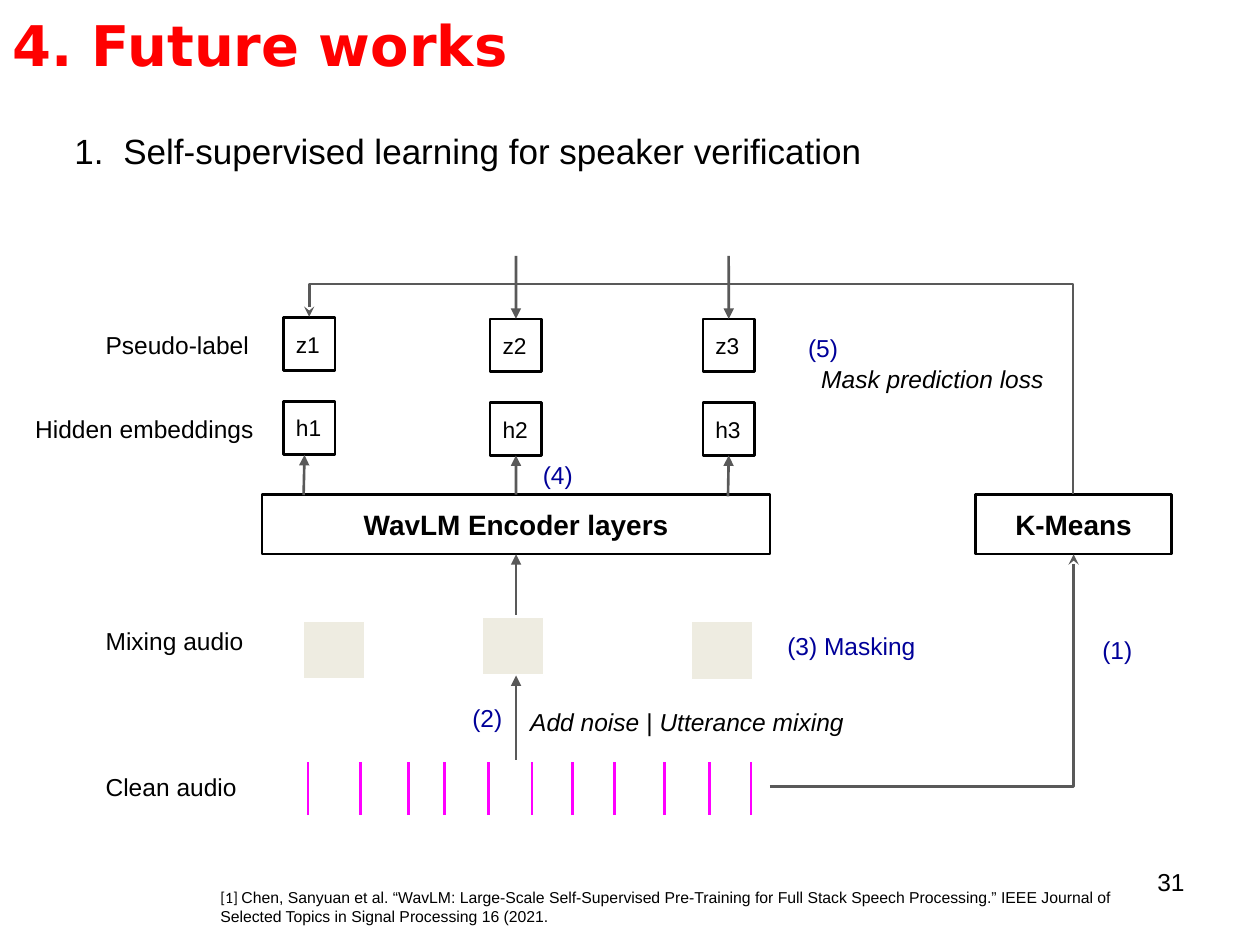
from dataclasses import dataclass

import pptx
import pptx.dml.color
import pptx.enum.shapes
import pptx.enum.text
import pptx.oxml
import pptx.oxml.ns
import pptx.util
from lxml import etree

Pt = pptx.util.Pt
ALIGN = pptx.enum.text.PP_ALIGN
KIND = pptx.enum.shapes.MSO_CONNECTOR
BLACK, GRAY, BLUE, RED = "000000", "595959", "000099", "FF0000"
MAGENTA, BEIGE, WHITE = "FF00FF", "EEECE1", "FFFFFF"
TOP, BOTTOM = 0, 2


@dataclass
class Label:
    text: str
    x: float
    y: float
    w: float
    h: float = 31.7
    size: float = 14
    color: str = BLACK
    bold: bool = False
    italic: bool = False
    font: str = "Arial"
    align: ALIGN = ALIGN.LEFT
    inset: float = 7.2


@dataclass
class Arrow:
    x1: float
    y1: float
    x2: float
    y2: float
    begin: str = ""
    begin_site: int = TOP
    end: str = ""
    end_site: int = BOTTOM


def rgb(value: str) -> pptx.dml.color.RGBColor:
    return pptx.dml.color.RGBColor.from_string(value)


def sub(parent, tag: str, **attrs: str):
    return etree.SubElement(parent, pptx.oxml.ns.qn(tag), **attrs)


def style_run(r, label: Label, font: str = "", italic: bool = False) -> None:
    r.font.name = font or label.font
    r.font.size = Pt(label.size)
    r.font.bold = label.bold
    r.font.italic = italic
    r.font.color.rgb = rgb(label.color)


def write(sp, label: Label):
    tf = sp.text_frame
    tf.word_wrap = True
    tf.vertical_anchor = pptx.enum.text.MSO_ANCHOR.TOP
    tf.margin_left = tf.margin_right = Pt(7.2)
    tf.margin_top = tf.margin_bottom = Pt(label.inset)
    tf.text = label.text
    p = tf.paragraphs[0]
    p.alignment = label.align
    for r in p.runs:
        style_run(r, label, italic=label.italic)
    return p


def add_label(s, label: Label):
    sp = s.shapes.add_textbox(Pt(label.x), Pt(label.y), Pt(label.w), Pt(label.h))
    return sp.text_frame, write(sp, label)


def add_rect(s, x: float, y: float, w: float, h: float, line: str, width: float, fill: str = ""):
    sp = s.shapes.add_shape(pptx.enum.shapes.MSO_SHAPE.RECTANGLE, Pt(x), Pt(y), Pt(w), Pt(h))
    sp.shadow.inherit = False
    if fill:
        sp.fill.solid()
        sp.fill.fore_color.rgb = rgb(fill)
    else:
        sp.fill.background()
    sp.line.color.rgb = rgb(line)
    sp.line.width = Pt(width)
    return sp


def add_box(s, label: Label):
    sp = add_rect(s, label.x, label.y, label.w, label.h, BLACK, 1.5)
    write(sp, label)
    return sp


def add_line(s, x1: float, y1: float, x2: float, y2: float, color: str = GRAY, kind=KIND.STRAIGHT):
    cx = s.shapes.add_connector(kind, Pt(x1), Pt(y1), Pt(x2), Pt(y2))
    cx.line.color.rgb = rgb(color)
    cx.line.width = Pt(1.5)
    sub(cx._element.spPr, "a:effectLst")
    return cx


def add_head(cx, end: str, style: str) -> None:
    sub(cx.line._get_or_add_ln(), end, type=style)


def add_arrow(s, arrow: Arrow, boxes: dict) -> None:
    cx = add_line(s, arrow.x1, arrow.y1, arrow.x2, arrow.y2)
    if arrow.begin:
        cx.begin_connect(boxes[arrow.begin], arrow.begin_site)
    if arrow.end:
        cx.end_connect(boxes[arrow.end], arrow.end_site)
    add_head(cx, "a:tailEnd", "triangle")


def add_elbows(s) -> None:
    audio = add_line(s, 440, 449.5, 613.5, 316.8, kind=KIND.ELBOW)
    audio._element.spPr.prstGeom.set("prst", "bentConnector2")
    add_head(audio, "a:tailEnd", "stealth")

    labels = add_line(s, 445.6, 13.5, 344.2, 450, kind=KIND.ELBOW)
    labels._element.spPr.xfrm.set("rot", "16200000")
    guides = labels._element.spPr.prstGeom.get_or_add_avLst()
    sub(guides, "a:gd", name="adj1", fmla="val -18500")
    add_head(labels, "a:headEnd", "stealth")


def add_heading(s) -> None:
    tf, p = add_label(s, Label("4. Future works", 0, 0, 720, 50.4, 32, RED, True,
                               font="DejaVu Sans", inset=3.6))
    tf.vertical_anchor = pptx.enum.text.MSO_ANCHOR.MIDDLE
    add_label(s, Label("31", 516.2, 491.8, 167.8, 37.4, align=ALIGN.RIGHT, inset=3.6))

    tf, p = add_label(s, Label("Self-supervised learning for speaker verification",
                               27.4, 67, 761.8, 38.9, 20))
    pPr = p._p.get_or_add_pPr()
    pPr.set("marL", str(Pt(36)))
    pPr.set("indent", str(Pt(-28)))
    sub(sub(pPr, "a:buClr"), "a:srgbClr", val=BLACK)
    sub(pPr, "a:buAutoNum", type="arabicPeriod")


def add_citation(s) -> None:
    label = Label("[1] ", 114.5, 504, 547.9, 33.1, 9, font="Calibri", inset=3.6)
    tf, p = add_label(s, label)
    p._p.get_or_add_pPr().set("marL", str(Pt(4.3)))
    r = p.add_run()
    r.text = ("Chen, Sanyuan et al. “WavLM: Large-Scale Self-Supervised Pre-Training for Full Stack "
              "Speech Processing.” IEEE Journal of Selected Topics in Signal Processing 16 (2021.")
    style_run(r, label, "Arial")


def add_mixing_note(s) -> None:
    label = Label("Add noise ", 295.9, 396.7, 221, italic=True)
    tf, p = add_label(s, label)
    for text, italic in (("| ", False), ("Utterance mixing", True)):
        r = p.add_run()
        r.text = text
        style_run(r, label, italic=italic)


def main() -> None:
    """Build the slide on self-supervised learning for speaker verification."""
    prs = pptx.Presentation()
    prs.slide_width, prs.slide_height = Pt(720), Pt(540)
    s = prs.slides.add_slide(prs.slide_layouts[6])
    add_heading(s)
    add_citation(s)

    box_labels = [
        Label("WavLM Encoder layers", 149.8, 282.7, 290.2, 34, 16, bold=True, align=ALIGN.CENTER),
        Label("K-Means", 557.3, 282.7, 112.3, 34, 16, bold=True, align=ALIGN.CENTER),
    ]
    for letter, y in (("z", 181.6), ("h", 229.5)):
        for number, (x, drop) in enumerate(((162, 0), (280.1, 0.6), (401.7, 0.6)), 1):
            box_labels.append(Label(f"{letter}{number}", x, y + drop, 29.5, 30.2, 13))
    boxes = {label.text: add_box(s, label) for label in box_labels}

    for x, y in ((173.5, 355), (275.8, 352.8), (395.3, 355.2)):
        add_rect(s, x, y, 34.6, 33, WHITE, 0.75, BEIGE)

    encoder = "WavLM Encoder layers"
    for arrow in (
        Arrow(294.9, 434.2, 294.9, 386),
        Arrow(294.9, 351.4, 294.9, 316.8, end=encoder),
        Arrow(173.5, 283, 174, 260),
        Arrow(294.9, 283, 294.9, 260.6, begin=encoder, end="h2"),
        Arrow(416, 283.7, 416.4, 260.6, end="h3"),
        Arrow(294.9, 146.2, 294.9, 182.2, end="z2", end_site=TOP),
        Arrow(416.4, 146.2, 416.4, 182.2, end="z3", end_site=TOP),
    ):
        add_arrow(s, arrow, boxes)
    add_elbows(s)

    for x in (176, 206, 233.4, 254, 279.2, 304, 327.2, 351.2, 379.7, 405.3, 429.2):
        add_line(s, x, 435.6, x, 465.8, MAGENTA)

    add_mixing_note(s)
    for label in (
        Label("Clean audio", 53.3, 434.2, 103.7),
        Label("Mixing audio", 53.3, 350.6, 103.7),
        Label("Pseudo-label", 53.3, 181.4, 103.7),
        Label("Hidden embeddings", 13, 229.5, 144),
        Label("Mask prediction loss", 462.2, 200.9, 144, italic=True),
        Label("(1)", 622.8, 355.7, 47.5, color=BLUE),
        Label("(2)", 262.8, 394.3, 47.5, color=BLUE),
        Label("(3) Masking", 442.8, 353.5, 103.7, color=BLUE),
        Label("(4)", 303.1, 255.6, 103.7, color=BLUE),
        Label("(5)", 454.7, 182.9, 103.7, color=BLUE),
    ):
        add_label(s, label)
    prs.save("out.pptx")


if __name__ == "__main__":
    main()
